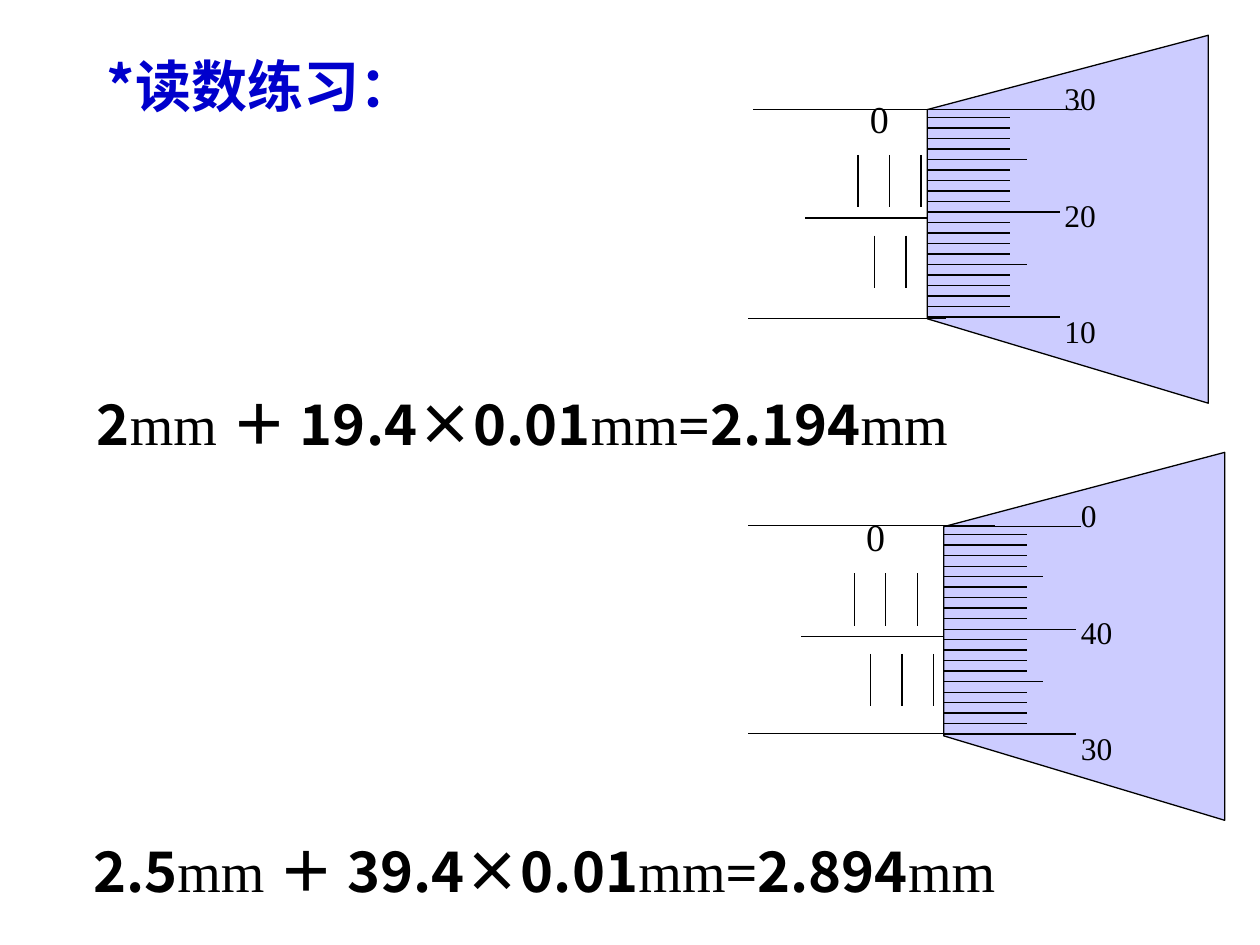
import pptx
import pptx.dml.color
import pptx.enum.text
import pptx.oxml.ns
import pptx.util
import lxml.etree

Inches = pptx.util.Inches
Pt = pptx.util.Pt
SANS = "Noto Sans CJK SC"
SERIF = "Times New Roman"
BLACK = "000000"
BLUE = "0000CC"
LAVENDER = "CCCCFF"


def colour(value):
    return pptx.dml.color.RGBColor.from_string(value)


class Drawing:
    line_width = Pt(0.75)

    def __init__(self, slide):
        self.slide = slide
        self.shapes = slide.shapes

    def start_group(self):
        self.shapes = self.slide.shapes.add_group_shape().shapes

    def line(self, x1, y1, x2, y2):
        connector = self.shapes.add_connector(
            pptx.enum.shapes.MSO_CONNECTOR.STRAIGHT,
            Inches(x1), Inches(y1), Inches(x2), Inches(y2))
        connector.line.color.rgb = colour(BLACK)
        connector.line.width = self.line_width
        properties = connector._element.spPr
        lxml.etree.SubElement(properties, pptx.oxml.ns.qn("a:effectLst"))

    def outline(self, points, fill):
        corners = [(Inches(x), Inches(y)) for x, y in points]
        builder = self.shapes.build_freeform(*corners[0])
        builder.add_line_segments(corners[1:], close=True)
        shape = builder.convert_to_shape()
        shape.shadow.inherit = False
        shape.fill.solid()
        shape.fill.fore_color.rgb = colour(fill)
        shape.line.color.rgb = colour(BLACK)
        shape.line.width = self.line_width

    def text(self, left, top, width, height, paragraphs, size,
             text_colour=BLACK, gap=0, spacing=None, centred=False):
        box = self.shapes.add_textbox(
            Inches(left), Inches(top), Inches(width), Inches(height))
        frame = box.text_frame
        frame.word_wrap = True
        for index, runs in enumerate(paragraphs):
            paragraph = frame.add_paragraph() if index else frame.paragraphs[0]
            if index:
                paragraph.space_before = Pt(gap)
            if spacing:
                paragraph.line_spacing = spacing
            if centred:
                paragraph.alignment = pptx.enum.text.PP_ALIGN.CENTER
            for words, font, bold in runs:
                run = paragraph.add_run()
                run.text = words
                run.font.name = font
                run.font.size = Pt(size)
                run.font.bold = bold
                run.font.color.rgb = colour(text_colour)
                east_asian = lxml.etree.SubElement(
                    run._r.get_or_add_rPr(), pptx.oxml.ns.qn("a:ea"))
                east_asian.set("typeface", SANS)

    def sleeve(self, left, top, right, upper_count, lower_count):
        self.text(left + 0.34, top, 0.5, 0.5, [[("0", SERIF, False)]],
                  21.7, spacing=0.8, centred=True)
        for offset, drop, count in ((0.42, 0.45, upper_count),
                                    (0.55, 1.09, lower_count)):
            for index in range(count):
                x = left + offset + 0.25 * index
                self.line(x, top + drop, x, top + drop + 0.415)
        self.line(left, top + 0.95, right, top + 0.95)

    def thimble(self, left, top, labels):
        self.outline([(left, top + 0.59), (left, top + 2.25),
                      (left + 2.23, top + 2.92), (left + 2.23, top)], LAVENDER)
        for number in range(1, 21):
            if number % 10 == 0:
                length = 1.05
            elif number % 5 == 0:
                length = 0.79
            else:
                length = 0.66
            y = top + 0.57 + number / 12
            self.line(left, y, left + length, y)
        self.text(left + 0.99, top + 0.3, 0.5, 2.23,
                  [[(label, SERIF, False)] for label in labels], 18, gap=45)

    def formula(self, left, top, width, main, fraction, total):
        runs = [(main, SANS, True), ("mm ", SERIF, False), ("＋ ", SERIF, True),
                (fraction + "×0.01", SANS, True), ("mm", SERIF, False),
                ("=", SERIF, True), (total, SANS, True), ("mm", SERIF, False)]
        self.text(left, top, width, 0.64, [runs], 32)


def main():
    presentation = pptx.Presentation()
    presentation.slide_width = Inches(10)
    presentation.slide_height = Inches(7.5)
    drawing = Drawing(presentation.slides.add_slide(presentation.slide_layouts[6]))

    drawing.text(0.75, 0.36, 8.35, 0.64, [[("*读数练习：", SANS, True)]], 32, BLUE)
    drawing.formula(0.67, 3.04, 7.3, "2", "19.4", "2.194")
    drawing.formula(0.64, 6.59, 7.7, "2.5", "39.4", "2.894")

    gauges = [
        ((6.39, 0.78, 7.36, 3, 2), (7.36, 0.28, ("30", "20", "10")),
         [(5.94, 2.53, 7.51), (7.51, 0.87, 8.59), (5.98, 0.87, 7.54)]),
        ((6.36, 4.1, 7.49, 3, 3), (7.49, 3.59, ("0", "40", "30")),
         [(7.49, 4.18, 8.58), (5.94, 4.17, 7.9), (5.94, 5.82, 7.9)]),
    ]
    for sleeve, thimble, edges in gauges:
        drawing.start_group()
        drawing.sleeve(*sleeve)
        drawing.thimble(*thimble)
        for start, y, end in edges:
            drawing.line(start, y, end, y)

    presentation.save("out.pptx")


if __name__ == "__main__":
    main()
